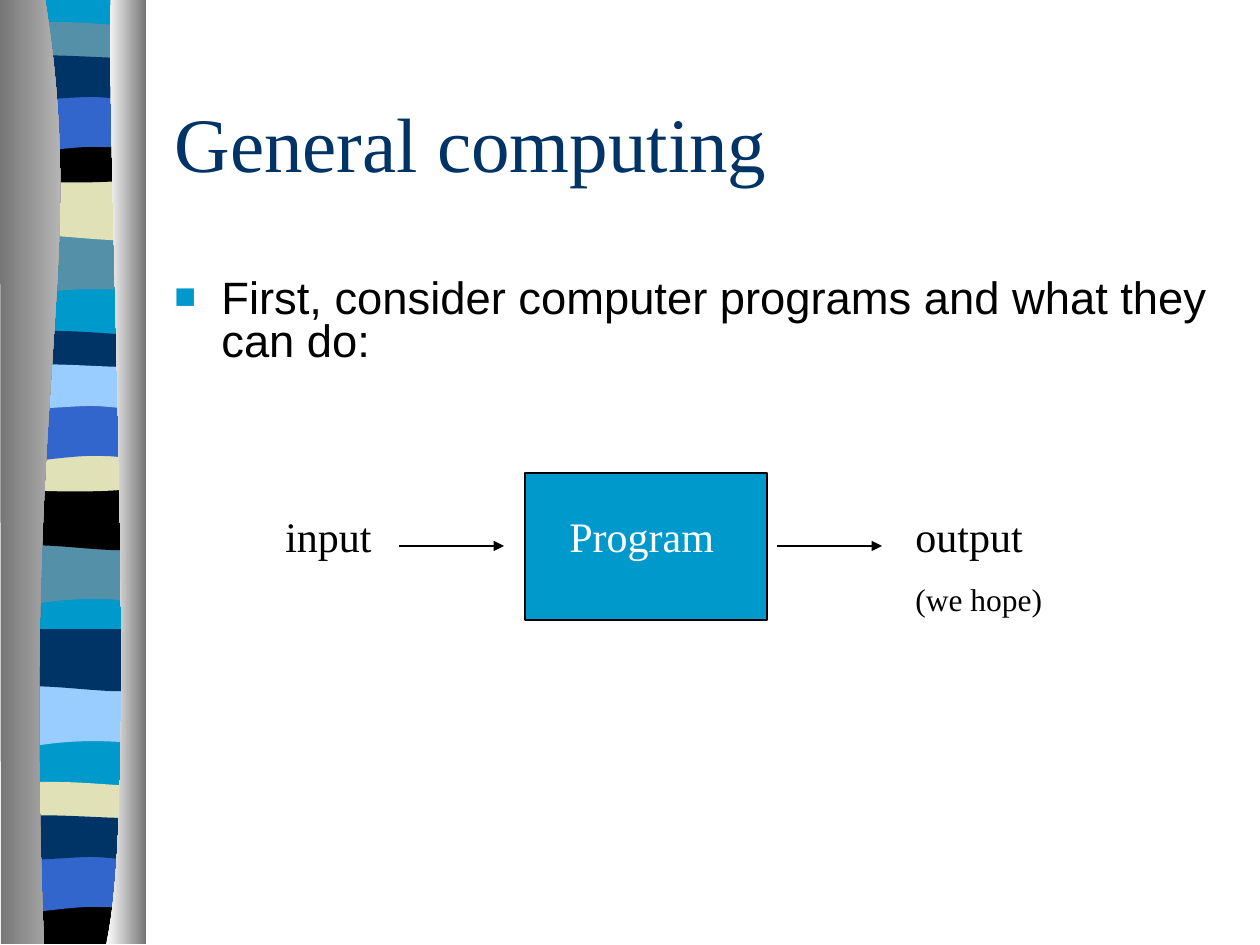
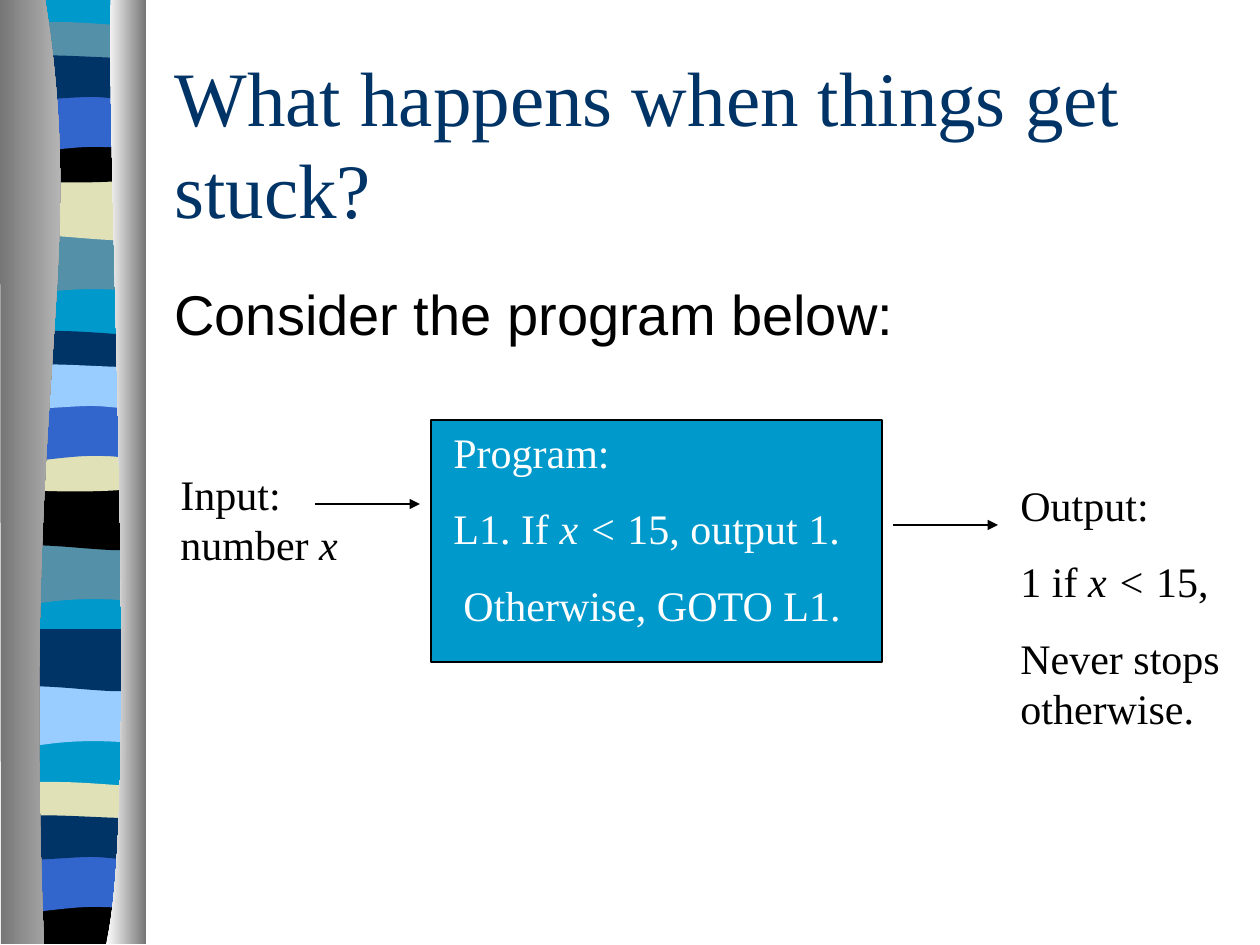
from lxml import etree
from pptx import Presentation
from pptx.dml.color import RGBColor
from pptx.enum.shapes import MSO_CONNECTOR, MSO_SHAPE
from pptx.enum.text import MSO_ANCHOR, MSO_AUTO_SIZE, PP_ALIGN
from pptx.oxml.ns import qn
from pptx.util import Emu, Inches, Pt

LINE = MSO_CONNECTOR.STRAIGHT
RECT = MSO_SHAPE.RECTANGLE
TOP, MIDDLE = MSO_ANCHOR.TOP, MSO_ANCHOR.MIDDLE
FIXED = MSO_AUTO_SIZE.NONE
LEFT = PP_ALIGN.LEFT

SCALE = 914400 / 126  # EMU in one px
SERIF, SANS = "Times New Roman", "Arial"
BLACK, WHITE, GREY, SILVER = "000000", "FFFFFF", "767676", "D3D3D3"
NAVY, CYAN, BLUE = "003366", "0099CC", "3366CC"
TEAL, SAND, SKY = "5490A8", "E1E1B7", "99CCFF"

# Outlines: one point is a straight step, three points are a Bezier curve
BLOCK = [[(144, 0)], [(144, 943)], [(7, 943)], [(7, 0)]]
SWELL = [[(144, 0)], [(144, 59)], [(49, 49), (29, 69), (6, 59)], [(6, 0)]]
FALL = [[(144, 0)], [(144, 59)], [(121, 69), (49, 52), (7, 59)], [(7, 0)]]
CREST = [[(144, 0)], [(144, 30)], [(121, 36), (30, 36), (7, 30)], [(7, 0)],
         [(16, -6), (37, -5), (59, -5)], [(82, -5), (126, -1), (144, 0)]]
BOWL = [[(144, 0)], [(144, 42)], [(121, 48), (29, 48), (6, 42)], [(6, 0)],
        [(91, 6), (115, 0), (144, 0)]]
FOOT = [[(142, 0)], [(142, 47)], [(8, 47)], [(5, 0)],
        [(89, 6), (115, 0), (142, 0)]]
ARCH = [[(144, 0)], [(144, 60)], [(122, 53), (113, 53), (91, 53)],
        [(68, 53), (28, 60), (7, 60)], [(7, 0)]]
SLOPE = [[(144, 0)], [(144, 39)], [(135, 45), (113, 39), (91, 39)],
         [(68, 39), (21, 45), (7, 39)], [(7, 0)],
         [(26, -6), (100, 0), (122, 0)], [(145, 0), (139, 0), (144, 0)]]
BANDS = [
    (BLOCK, CYAN, -1),
    (SWELL, TEAL, 233), (FALL, SAND, 178), (CREST, TEAL, 27),
    (BOWL, BLACK, 136), (ARCH, BLUE, 94), (SLOPE, NAVY, 58),
    (SWELL, TEAL, 543), (FALL, BLACK, 488), (CREST, NAVY, 336),
    (BOWL, SAND, 445), (ARCH, BLUE, 403), (SLOPE, SKY, 367),
    (SWELL, SKY, 685), (FALL, NAVY, 629), (CREST, SAND, 787),
    (FOOT, BLACK, 897), (ARCH, BLUE, 854), (SLOPE, NAVY, 818),
]

# Metal strips that give the ribbon its curved sides
STRIPS = [
    ([[(45, -1)], [(89, 272), (21, 373), (44, 944)], [(1, 944)], [(0, -1)]],
     (GREY, SILVER)),
    ([[(111, -1)], [(106, 158), (140, 814), (106, 944)], [(146, 944)], [(146, 0)]],
     (WHITE, GREY)),
]


def px(n):
    return Emu(round(n * SCALE))


def rgb(code):
    return RGBColor.from_string(code)


def outline(shapes, steps, level=0):
    """Closed freeform made of straight steps and curves."""
    spots = [(px(x), px(y + level)) for step in steps for x, y in step]
    pen = shapes.build_freeform(*spots[0], scale=1.0)
    pen.add_line_segments(spots[1:], close=True)
    shape = pen.convert_to_shape()
    shape.shadow.inherit = False
    shape.line.fill.background()
    # Join each three points of a curve into one segment
    legs = iter(list(shape._element.iter(qn("a:lnTo"))))
    for step in steps[1:]:
        leg = next(legs)
        if len(step) == 3:
            leg.tag = qn("a:cubicBezTo")
            for _ in range(2):
                rest = next(legs)
                leg.append(rest[0])
                rest.getparent().remove(rest)
    return shape


def ribbon(slide, layout):
    """Draw the ribbon once and place it behind the layout."""
    group = slide.shapes.add_group_shape()
    for steps, code, level in BANDS:
        fill = outline(group.shapes, steps, level).fill
        fill.solid()
        fill.fore_color.rgb = rgb(code)
    for steps, codes in STRIPS:
        fill = outline(group.shapes, steps).fill
        fill.gradient()
        fill.gradient_angle = 0
        for stop, code in zip(fill.gradient_stops, codes):
            stop.color.rgb = rgb(code)
    layout.shapes.element.insert(2, group.element)


def style(font, size, face, code):
    font.size = Pt(size)
    font.name = face
    font.color.rgb = rgb(code)


def label(slide, box, lines, size=24, face=SERIF, code=BLACK):
    """Text box; text between asterisks is italic."""
    frame = slide.shapes.add_textbox(*map(px, box)).text_frame
    frame.word_wrap = True
    frame.auto_size = FIXED
    frame.vertical_anchor = TOP
    for i, line in enumerate(lines):
        para = frame.add_paragraph() if i else frame.paragraphs[0]
        para.alignment = LEFT
        if i:
            para.space_before = Pt(15)
        for k, part in enumerate(line.split("*")):
            if part:
                run = para.add_run()
                run.text = part
                run.font.italic = k % 2 == 1
                style(run.font, size, face, code)
    return frame


def block(slide, box):
    shape = slide.shapes.add_shape(RECT, *map(px, box))
    shape.shadow.inherit = False
    shape.fill.solid()
    shape.fill.fore_color.rgb = rgb(CYAN)
    shape.line.color.rgb = rgb(BLACK)
    shape.line.width = Pt(0.75)


def arrow(slide, x, y, size=105):
    link = slide.shapes.add_connector(LINE, px(x), px(y), px(x + size), px(y))
    link.line.color.rgb = rgb(BLACK)
    link.line.width = Pt(0.75)
    etree.SubElement(link.line._get_or_add_ln(), qn("a:tailEnd"), type="triangle")
    etree.SubElement(link._element.spPr, qn("a:effectLst"))


def bullet(para, code):
    props = para._p.get_or_add_pPr()
    props.set("marL", str(px(47)))
    props.set("indent", str(px(-47)))
    tint = etree.SubElement(props, qn("a:buClr"))
    etree.SubElement(tint, qn("a:srgbClr"), val=code)
    etree.SubElement(props, qn("a:buSzPct"), val="80000")
    etree.SubElement(props, qn("a:buFont"), typeface=SANS)
    etree.SubElement(props, qn("a:buChar"), char="■")


def start(deck, text):
    """New slide with its title."""
    slide = deck.slides.add_slide(deck.slide_layouts[5])
    title = slide.shapes.title
    title.left, title.top, title.width, title.height = map(px, (162, 63, 1071, 157))
    frame = title.text_frame
    frame.text = text
    frame.word_wrap = True
    frame.auto_size = FIXED
    frame.vertical_anchor = MIDDLE
    para = frame.paragraphs[0]
    para.alignment = LEFT
    style(para.runs[0].font, 44, SERIF, NAVY)
    return slide


def general(deck):
    slide = start(deck, "General computing")
    body = label(slide, (162, 273, 1071, 157),
                 ["First, consider computer programs and what they can do:"],
                 size=25.9, face=SANS)
    bullet(body.paragraphs[0], CYAN)
    body.paragraphs[0].line_spacing = 0.8
    # Input, program, output
    arrow(slide, 399, 546)
    block(slide, (525, 473, 242, 147))
    arrow(slide, 777, 546)
    label(slide, (273, 504, 116, 63), ["input"])
    out = label(slide, (903, 504, 158, 121), ["output", "(we hope)"])
    hope = out.paragraphs[1]
    hope.space_before = Pt(11.2)
    hope.runs[0].font.size = Pt(18)
    label(slide, (557, 504, 179, 63), ["Program"], code=WHITE)
    return slide


def stuck(deck):
    slide = start(deck, "What happens when things get stuck?")
    label(slide, (162, 273, 1071, 95), ["Consider the program below:"],
          size=32, face=SANS)
    # Input, program, output
    arrow(slide, 315, 504)
    block(slide, (431, 420, 451, 242))
    arrow(slide, 893, 525)
    label(slide, (168, 462, 189, 113), ["Input: number *x*"])
    code = label(slide, (441, 420, 420, 217),
                 ["Program:", "L1. If *x <* 15, output 1.", "Otherwise, GOTO L1."],
                 code=WHITE)
    code.paragraphs[2]._p.get_or_add_pPr().set("marL", str(px(10)))
    label(slide, (1008, 473, 231, 267),
          ["Output:", "1 if *x < *15,", "Never stops otherwise."])


def main():
    deck = Presentation()
    deck.slide_width, deck.slide_height = Inches(10), Inches(7.5)
    ribbon(general(deck), deck.slide_layouts[5])
    stuck(deck)
    deck.save("out.pptx")


if __name__ == "__main__":
    main()
